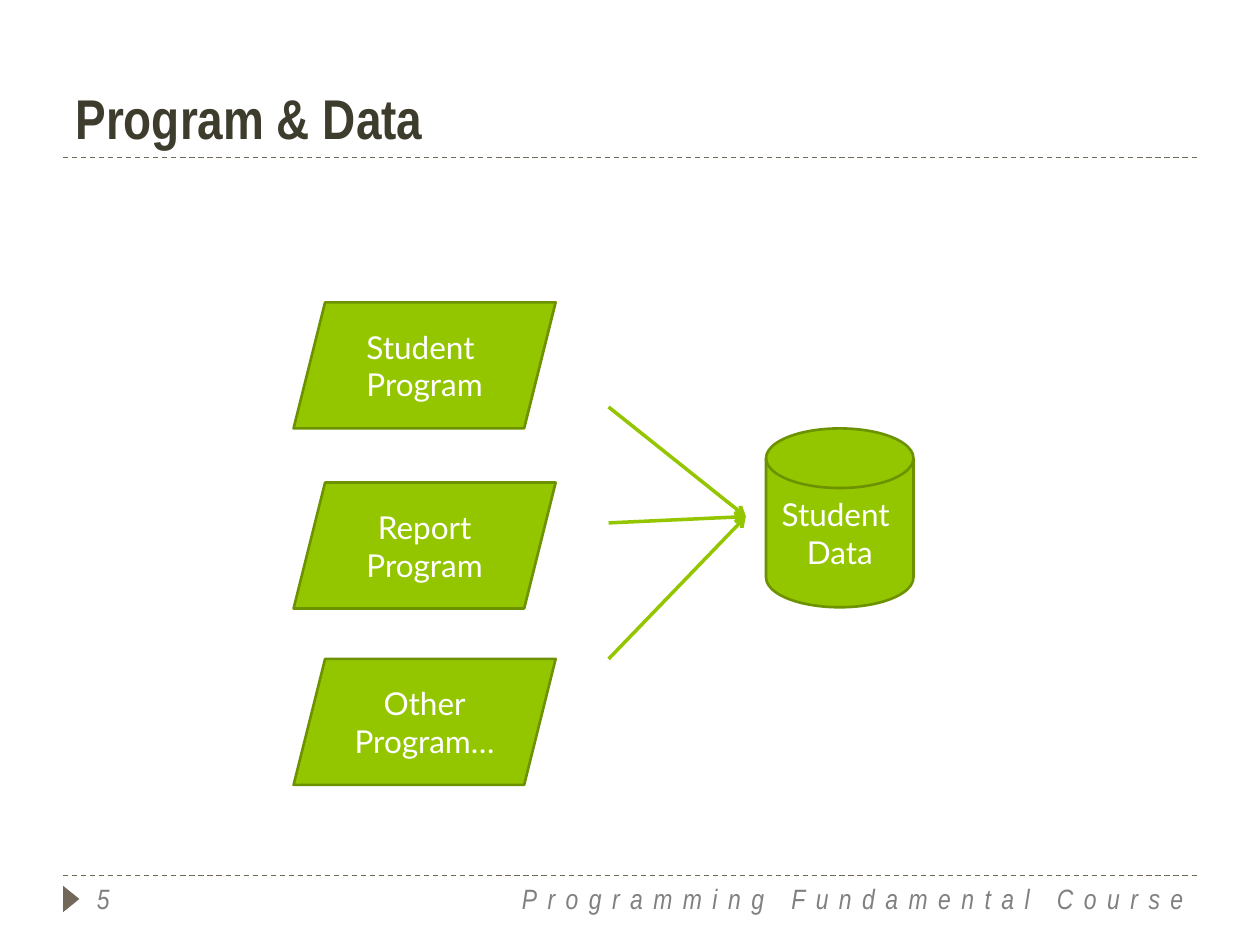
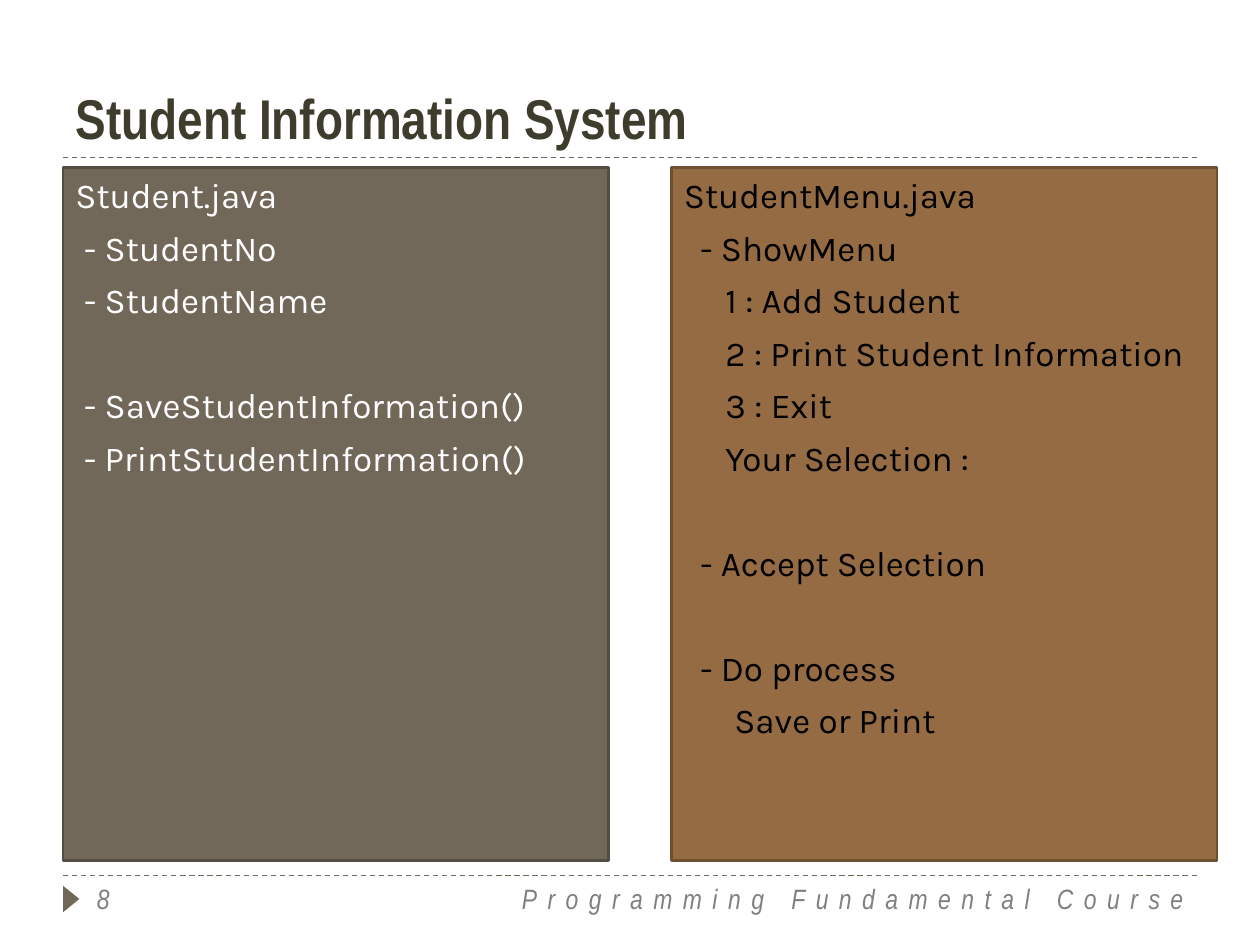
"""Build two slides of a programming course: program and data, and a student system."""
from lxml import etree
from pptx import Presentation
from pptx.dml.color import RGBColor
from pptx.enum.dml import MSO_LINE
from pptx.enum.shapes import MSO_CONNECTOR, MSO_SHAPE
from pptx.enum.text import MSO_ANCHOR, MSO_AUTO_SIZE, PP_ALIGN
from pptx.oxml.ns import qn
from pptx.util import Inches, Pt

STRAIGHT = MSO_CONNECTOR.STRAIGHT
DASH = MSO_LINE.DASH
RECTANGLE = MSO_SHAPE.RECTANGLE
TRIANGLE = MSO_SHAPE.ISOSCELES_TRIANGLE
PARALLELOGRAM = MSO_SHAPE.PARALLELOGRAM
DISK = MSO_SHAPE.FLOWCHART_MAGNETIC_DISK
LEFT, CENTER, RIGHT = PP_ALIGN.LEFT, PP_ALIGN.CENTER, PP_ALIGN.RIGHT
TOP, MIDDLE, BOTTOM = MSO_ANCHOR.TOP, MSO_ANCHOR.MIDDLE, MSO_ANCHOR.BOTTOM
NO_AUTOFIT = MSO_AUTO_SIZE.NONE

WHITE = RGBColor(0xFF, 0xFF, 0xFF)
BLACK = RGBColor(0x00, 0x00, 0x00)
OLIVE = RGBColor(0x3E, 0x3D, 0x2D)
GRAY = RGBColor(0x80, 0x80, 0x80)
TAUPE = RGBColor(0x71, 0x68, 0x5A)
DARK_TAUPE = RGBColor(0x54, 0x4D, 0x43)
GREEN = RGBColor(0x94, 0xC6, 0x00)
DARK_GREEN = RGBColor(0x6D, 0x92, 0x00)
BROWN = RGBColor(0x95, 0x6B, 0x43)
DARK_BROWN = RGBColor(0x6E, 0x4F, 0x32)

HEAD_FONT, DIAGRAM_FONT, LIST_FONT = "Arial Narrow", "Lato", "Karla"
COURSE = "Programming Fundamental Course"
LINE_GAP, SECTION_GAP = 6, 36


class Deck:
    """Holds the presentation, its style and the current slide."""

    def __init__(self):
        self.presentation = Presentation()
        self.presentation.slide_width = Inches(10)
        self.presentation.slide_height = Inches(7.5)
        self.slide = None

    def start_slide(self, title, number):
        """Add a slide with its title, rules and footer."""
        layout = self.presentation.slide_layouts[5]
        self.slide = self.presentation.slides.add_slide(layout)
        for y in (1.25, 6.95):
            self.line((0.5, y), (9.5, y), TAUPE, 0.75, dashed=True)
        marker = self.shape(TRIANGLE, (0.46, 7.07, 0.21, 0.13), TAUPE)
        marker.rotation = 90
        self.footer(COURSE, (4, 6.95, 5.5, 0.4), RIGHT)
        self.footer(str(number), (0.67, 6.95, 2.17, 0.4), LEFT)
        heading = self.slide.shapes.title
        heading.left, heading.top, heading.width, heading.height = map(
            Inches, (0.5, 0, 7.08, 1.25))
        paragraph = self.frame(heading, BOTTOM).paragraphs[0]
        run = self.add_text(paragraph, title, HEAD_FONT, 32, OLIVE, LEFT)
        run.font.bold = True

    def frame(self, holder, anchor):
        """Wrap the text of a holder and anchor it."""
        text_frame = holder.text_frame
        text_frame.word_wrap = True
        text_frame.auto_size = NO_AUTOFIT
        text_frame.vertical_anchor = anchor
        return text_frame

    def add_text(self, paragraph, text, font, size, color, align):
        """Add one formatted run to a paragraph."""
        paragraph.alignment = align
        run = paragraph.add_run()
        run.text = text
        run.font.name = font
        run.font.size = Pt(size)
        run.font.color.rgb = color
        return run

    def footer(self, text, box, align):
        """Add a widely spaced italic footer text."""
        holder = self.slide.shapes.add_textbox(*map(Inches, box))
        paragraph = self.frame(holder, TOP).paragraphs[0]
        run = self.add_text(paragraph, text, HEAD_FONT, 16, GRAY, align)
        run.font.italic = True
        run._r.get_or_add_rPr().set("spc", "600")

    def line(self, start, end, color, width, dashed=False, arrow=False):
        """Add a straight line, dashed or with an arrowhead if asked."""
        connector = self.slide.shapes.add_connector(STRAIGHT, *map(Inches, start + end))
        connector.line.color.rgb = color
        connector.line.width = Pt(width)
        if dashed:
            connector.line.dash_style = DASH
        properties = connector._element.spPr
        if arrow:
            outline = properties.find(qn("a:ln"))
            etree.SubElement(outline, qn("a:tailEnd")).set("type", "arrow")
        etree.SubElement(properties, qn("a:effectLst"))

    def shape(self, kind, box, fill, edge=None):
        """Add a filled preset shape, outlined if an edge colour is given."""
        shape = self.slide.shapes.add_shape(kind, *map(Inches, box))
        shape.shadow.inherit = False
        shape.fill.solid()
        shape.fill.fore_color.rgb = fill
        if edge is None:
            shape.line.fill.background()
        else:
            shape.line.color.rgb = edge
            shape.line.width = Pt(1.5)
        return shape

    def node(self, kind, box, lines):
        """Add a green diagram shape with centred lines."""
        text_frame = self.frame(self.shape(kind, box, GREEN, DARK_GREEN), MIDDLE)
        for index, text in enumerate(lines):
            paragraph = text_frame.add_paragraph() if index else text_frame.paragraphs[0]
            self.add_text(paragraph, text, DIAGRAM_FONT, 18, WHITE, CENTER)

    def panel(self, left, fill, edge, color, entries):
        """Add a list panel from entries of text, indent and space before."""
        panel = self.shape(RECTANGLE, (left, 1.33, 4.33, 5.5), fill, edge)
        text_frame = self.frame(panel, TOP)
        for index, (text, indent, gap) in enumerate(entries):
            paragraph = text_frame.add_paragraph() if index else text_frame.paragraphs[0]
            paragraph.space_before = Pt(gap)
            self.add_text(paragraph, text, LIST_FONT, 20, color, LEFT)
            paragraph._p.get_or_add_pPr().set("marL", str(Inches(indent)))


def build_program_and_data(deck):
    """Show three programs that share one data store."""
    deck.start_slide("Program & Data", 5)
    deck.node(DISK, (6.08, 3.4, 1.17, 1.42), ("Student ", "Data"))
    programs = (
        (2.4, ("Student ", "Program")),
        (3.83, ("Report", "Program")),
        (5.23, ("Other", "Program…")),
    )
    for top, lines in programs:
        deck.node(PARALLELOGRAM, (2.33, top, 2.08, 1), lines)
    for start_y in (3.23, 5.23, 4.15):
        deck.line((4.83, start_y), (5.92, 4.1), GREEN, 2, arrow=True)


def build_student_system(deck):
    """Show the two source files of the student system."""
    deck.start_slide("Student Information System", 8)
    student = (
        ("Student.java", 0, LINE_GAP),
        ("- StudentNo", 0.07, LINE_GAP),
        ("- StudentName", 0.07, LINE_GAP),
        ("- SaveStudentInformation()", 0.07, SECTION_GAP),
        ("- PrintStudentInformation()", 0.07, LINE_GAP),
    )
    menu = (
        ("StudentMenu.java", 0, LINE_GAP),
        ("- ShowMenu", 0.13, LINE_GAP),
        ("1 : Add Student", 0.33, LINE_GAP),
        ("2 : Print Student Information", 0.33, LINE_GAP),
        ("3 : Exit", 0.33, LINE_GAP),
        ("Your Selection :", 0.33, LINE_GAP),
        ("- Accept Selection", 0.13, SECTION_GAP),
        ("- Do process", 0.13, SECTION_GAP),
        ("Save or Print", 0.4, LINE_GAP),
    )
    deck.panel(0.5, TAUPE, DARK_TAUPE, WHITE, student)
    deck.panel(5.33, BROWN, DARK_BROWN, BLACK, menu)


def main():
    """Build and save the slides."""
    deck = Deck()
    build_program_and_data(deck)
    build_student_system(deck)
    deck.presentation.save("out.pptx")


if __name__ == "__main__":
    main()
